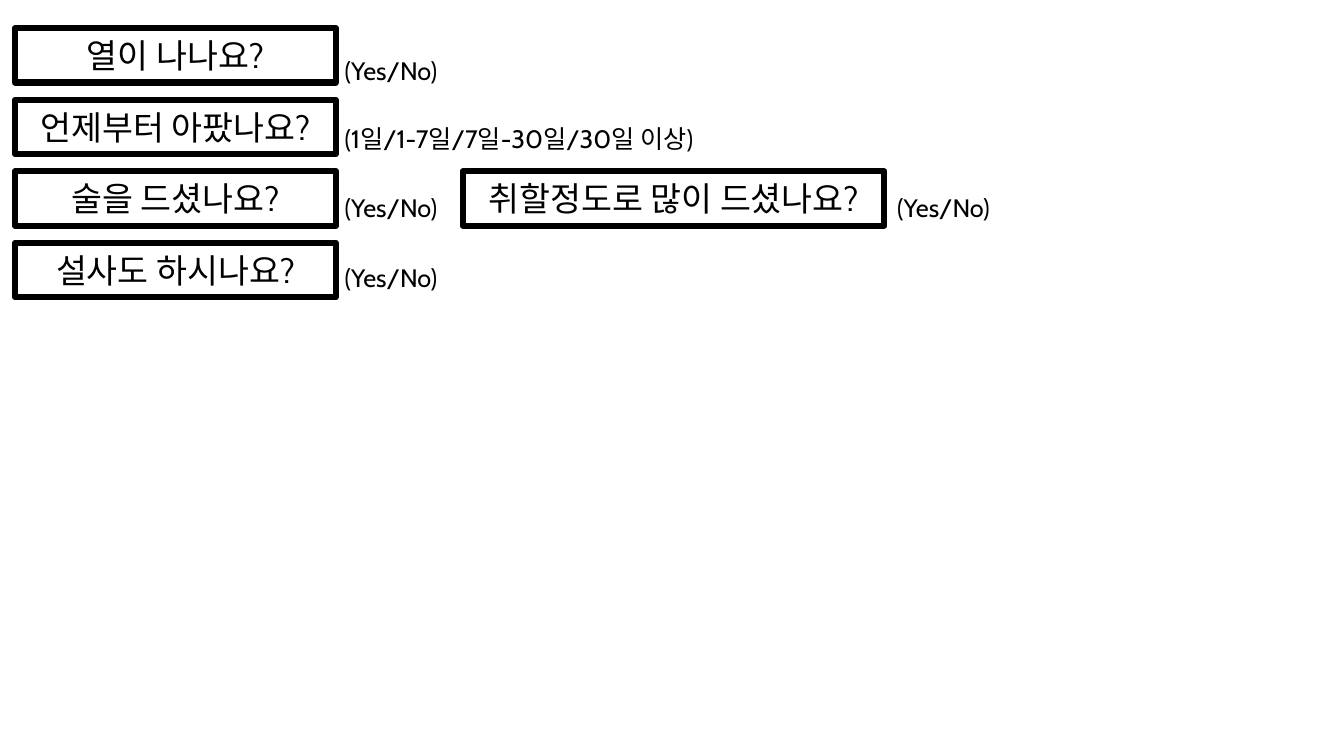
from dataclasses import dataclass

from pptx import Presentation
from pptx.dml.color import RGBColor
from pptx.enum.shapes import MSO_SHAPE as Form
from pptx.enum.text import MSO_ANCHOR as Anchor, MSO_AUTO_SIZE as Fit, PP_ALIGN as Align
from pptx.util import Inches, Pt


@dataclass(frozen=True)
class Theme:
    font: str = "Cabin"
    ink: RGBColor = RGBColor(0, 0, 0)
    ask: Pt = Pt(24)
    reply: Pt = Pt(18)
    edge: Pt = Pt(4.5)


class Board:
    def __init__(self, slide, theme):
        self.slide = slide
        self.theme = theme

    def label(self, frame, text, size, align):
        frame.word_wrap = True
        para = frame.paragraphs[0]
        para.text = text
        para.alignment = align
        para.font.name = self.theme.font
        para.font.size = size
        para.font.color.rgb = self.theme.ink

    def ask(self, text, left, top, width):
        box = self.slide.shapes.add_shape(
            Form.RECTANGLE, Inches(left), Inches(top), Inches(width), Inches(0.54))
        box.shadow.inherit = False
        box.fill.background()
        box.line.color.rgb = self.theme.ink
        box.line.width = self.theme.edge
        box.text_frame.vertical_anchor = Anchor.MIDDLE
        self.label(box.text_frame, text, self.theme.ask, Align.CENTER)

    def reply(self, text, left, top, width):
        box = self.slide.shapes.add_textbox(
            Inches(left), Inches(top), Inches(width), Inches(0.4))
        box.text_frame.auto_size = Fit.SHAPE_TO_FIT_TEXT
        self.label(box.text_frame, text, self.theme.reply, Align.LEFT)


deck = Presentation()
deck.slide_width = Inches(13.33)
deck.slide_height = Inches(7.5)
board = Board(deck.slides.add_slide(deck.slide_layouts[6]), Theme())

YES_NO = "(Yes/No)"
SHORT = 1.24
rows = [
    ("열이 나나요?", YES_NO, SHORT, 0.5),
    ("언제부터 아팠나요?", "(1일/1-7일/7일-30일/30일 이상)", 3.86, 1.17),
    ("술을 드셨나요?", YES_NO, SHORT, 1.86),
    ("설사도 하시나요?", YES_NO, SHORT, 2.55),
]
tops = [0.28 + 0.71 * i for i in range(len(rows))]

for top, (query, choice, width, low) in zip(tops, rows):
    board.ask(query, 0.15, top, 3.18)
    board.reply(choice, 3.32, low, width)

board.ask("취할정도로 많이 드셨나요?", 4.59, tops[2], 4.18)
board.reply(YES_NO, 8.8, rows[2][3], SHORT)

deck.save("out.pptx")
